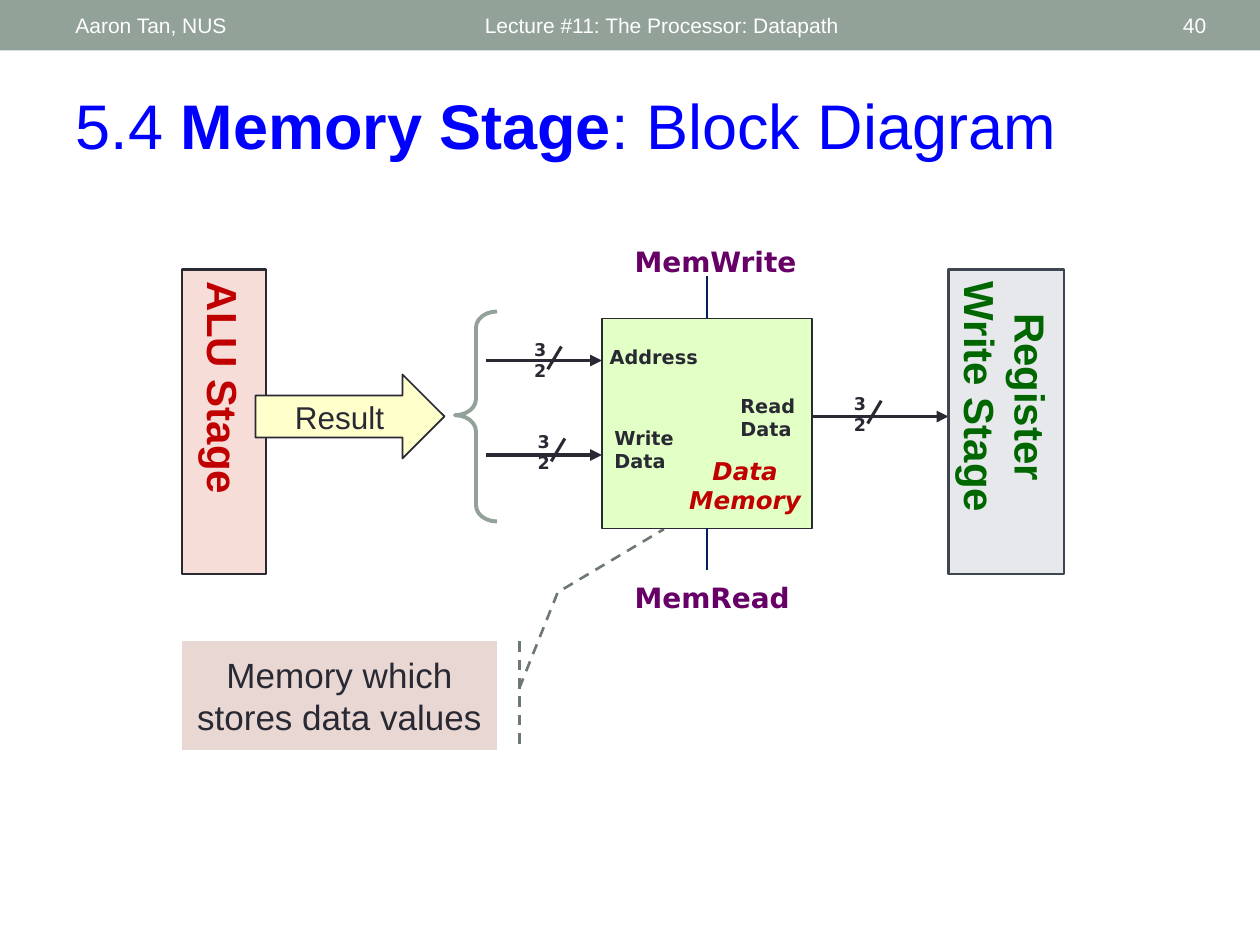
from lxml import etree
from pptx import Presentation
from pptx.dml.color import RGBColor
from pptx.enum.dml import MSO_LINE
from pptx.enum.shapes import MSO_CONNECTOR, MSO_SHAPE
from pptx.enum.text import MSO_ANCHOR, MSO_AUTO_SIZE, PP_ALIGN
from pptx.oxml.ns import qn
from pptx.util import Inches, Pt

STRAIGHT = MSO_CONNECTOR.STRAIGHT
DASH = MSO_LINE.DASH
RECTANGLE = MSO_SHAPE.RECTANGLE
ARROW = MSO_SHAPE.RIGHT_ARROW
BRACE = MSO_SHAPE.LEFT_BRACE
CALLOUT = MSO_SHAPE.LINE_CALLOUT_2_ACCENT_BAR
TOP, MIDDLE = MSO_ANCHOR.TOP, MSO_ANCHOR.MIDDLE
LEFT, CENTER, RIGHT = PP_ALIGN.LEFT, PP_ALIGN.CENTER, PP_ALIGN.RIGHT
NO_AUTO_SIZE = MSO_AUTO_SIZE.NONE

COLUMNS, ROWS = 360, 270
CELL = Inches(10) / COLUMNS
INK, PURPLE, RED, WHITE, SAGE = "292934", "660066", "C00000", "FFFFFF", "93A299"
NAVY, BLUE = "002060", "0000FF"
SANS, DIAGRAM = "Arial", "DejaVu Sans"

TITLE_AREA = (18, 23, 330, 25.6)
TITLE_RUNS = [("5.4 ", False), ("Memory Stage", True), (": Block Diagram", False)]
HEADER_AREA = (0, 0, COLUMNS, 14.4)
HEADER_TEXTS = [
    ("Lecture #11: The Processor: Datapath", 135, 162, LEFT),
    ("Aaron Tan, NUS", 18, 114, LEFT),
    ("40", 314, 34.2, RIGHT),
]
NOTE = ("Memory which stores data values", (52, 183.2, 90, 31))
NOTE_POINTER = (0.434, 1.071, -0.451, 1.193, -1.033, 1.53)
STAGES = [
    ("ALU Stage", (52, 77, 24, 87), "F6DDD8", INK, RED),
    ("Register Write Stage", (271, 77, 33, 87), "E6E8EC", "3E4652", "006600"),
]
RESULT = ("Result", (73, 107, 54, 24))
BRACE_AREA = (130, 89, 12, 60)
MEMORY_AREA = (172, 91, 60, 60)
OUTPUT_BUS = ((226, 119), (271, 119))
INPUT_BUSES = [((139, row), (172, row)) for row in (103, 130)]
CONTROLS = [((202, 163), 2), ((202, 79), 0)]
DIAGRAM_TEXTS = [
    (["Data", "Memory"], (193.3, 128.5, 39.2, 20.5), 14, RED, CENTER, True),
    (["Address"], (170.6, 96.8, 32.4, 10.4), 11, INK, CENTER, False),
    (["Read", "Data"], (208, 110.9, 24.8, 17), 11, INK, LEFT, False),
    (["Write", "Data"], (172, 119.9, 26.3, 17), 11, INK, LEFT, False),
    (["MemRead"], (177.8, 164.2, 51.5, 13.3), 16, PURPLE, LEFT, False),
    (["MemWrite"], (177.8, 68, 53.6, 13.3), 16, PURPLE, LEFT, False),
]
BUS_WIDTH = "32"
BUS_WIDTH_SPOTS = [(148, 95), (149, 121.3), (239.4, 110.5)]
BUS_WIDTH_SIZE = (12.6, 9.7)
SLASH = ((12.4, 4), (8.5, 10.5))


def grid(*lengths):
    return [round(length * CELL) for length in lengths]


def rgb(code):
    return RGBColor.from_string(code)


def write(box, lines, size, color, font=SANS, align=CENTER, bold=False,
          italic=False, anchor=MIDDLE, wrap=True):
    frame = box.text_frame
    frame.word_wrap = wrap
    frame.vertical_anchor = anchor
    frame.text = "\n".join(lines)
    for para in frame.paragraphs:
        para.alignment = align
        para.font.name = font
        para.font.size = Pt(size)
        para.font.bold = bold
        para.font.italic = italic
        para.font.color.rgb = rgb(color)


def add_text(page, area, lines, size, color, **style):
    box = page.shapes.add_textbox(*grid(*area))
    write(box, lines, size, color, **style)


def add_box(page, kind, area, fill=None, line=None, width=1.0, adjustments=()):
    box = page.shapes.add_shape(kind, *grid(*area))
    box.shadow.inherit = False
    if fill:
        box.fill.solid()
        box.fill.fore_color.rgb = rgb(fill)
    else:
        box.fill.background()
    if line:
        box.line.color.rgb = rgb(line)
        box.line.width = Pt(width)
    else:
        box.line.fill.background()
    for index, value in enumerate(adjustments):
        box.adjustments[index] = value
    return box


def add_line(page, start, end, color=INK, width=2.25, arrow=False):
    line = page.shapes.add_connector(STRAIGHT, *grid(*start, *end))
    line.line.color.rgb = rgb(color)
    line.line.width = Pt(width)
    if arrow:
        etree.SubElement(line.line._get_or_add_ln(), qn("a:tailEnd"), type="triangle")
    etree.SubElement(line._element.spPr, qn("a:effectLst"))
    return line


def add_header(page):
    add_box(page, RECTANGLE, HEADER_AREA, SAGE)
    for text, column, width, align in HEADER_TEXTS:
        add_text(page, (column, 0.7, width, 13), [text], 12, WHITE, align=align)


def add_title(page):
    title = page.shapes.title
    title.left, title.top, title.width, title.height = grid(*TITLE_AREA)
    write(title, [""], 36, BLUE, align=LEFT, anchor=TOP)
    title.text_frame.auto_size = NO_AUTO_SIZE
    for text, bold in TITLE_RUNS:
        span = title.text_frame.paragraphs[0].add_run()
        span.text = text
        span.font.bold = bold


def add_diagram(page):
    text, area = NOTE
    note = add_box(page, CALLOUT, area, "E9D7D3", "6D7871", 1.5, NOTE_POINTER)
    note.line.dash_style = DASH
    write(note, [text], 20, INK)

    add_line(page, *OUTPUT_BUS, arrow=True)
    for text, area, fill, outline, color in STAGES:
        stage = add_box(page, RECTANGLE, area, fill, outline, 1.5)
        write(stage, [text], 24, color, bold=True)
        stage.text_frame._txBody.bodyPr.set("vert", "eaVert")

    text, area = RESULT
    write(add_box(page, ARROW, area, "FFFFCC", INK), [text], 18, INK)
    add_box(page, BRACE, BRACE_AREA, None, SAGE, 2.25, (0.383, 0.494))

    memory = add_box(page, RECTANGLE, MEMORY_AREA, "E2FFC5", INK, 0.75)
    for start, end in INPUT_BUSES:
        add_line(page, start, end, arrow=True)
    for outer, side in CONTROLS:
        control = add_line(page, outer, outer, NAVY, 1.5)
        control.end_connect(memory, side)
    for lines, area, size, color, align, italic in DIAGRAM_TEXTS:
        add_text(page, area, lines, size, color, font=DIAGRAM, align=align,
                 bold=True, italic=italic, anchor=TOP, wrap=False)

    for column, row in BUS_WIDTH_SPOTS:
        add_text(page, (column, row, *BUS_WIDTH_SIZE), [BUS_WIDTH], 10, INK,
                 font=DIAGRAM, bold=True, anchor=TOP)
        start, end = [(column + across, row + down) for across, down in SLASH]
        add_line(page, start, end, width=1.75)


def main():
    deck = Presentation()
    deck.slide_width, deck.slide_height = grid(COLUMNS, ROWS)
    page = deck.slides.add_slide(deck.slide_layouts[5])
    add_header(page)
    add_title(page)
    add_diagram(page)
    deck.save("out.pptx")


if __name__ == "__main__":
    main()
